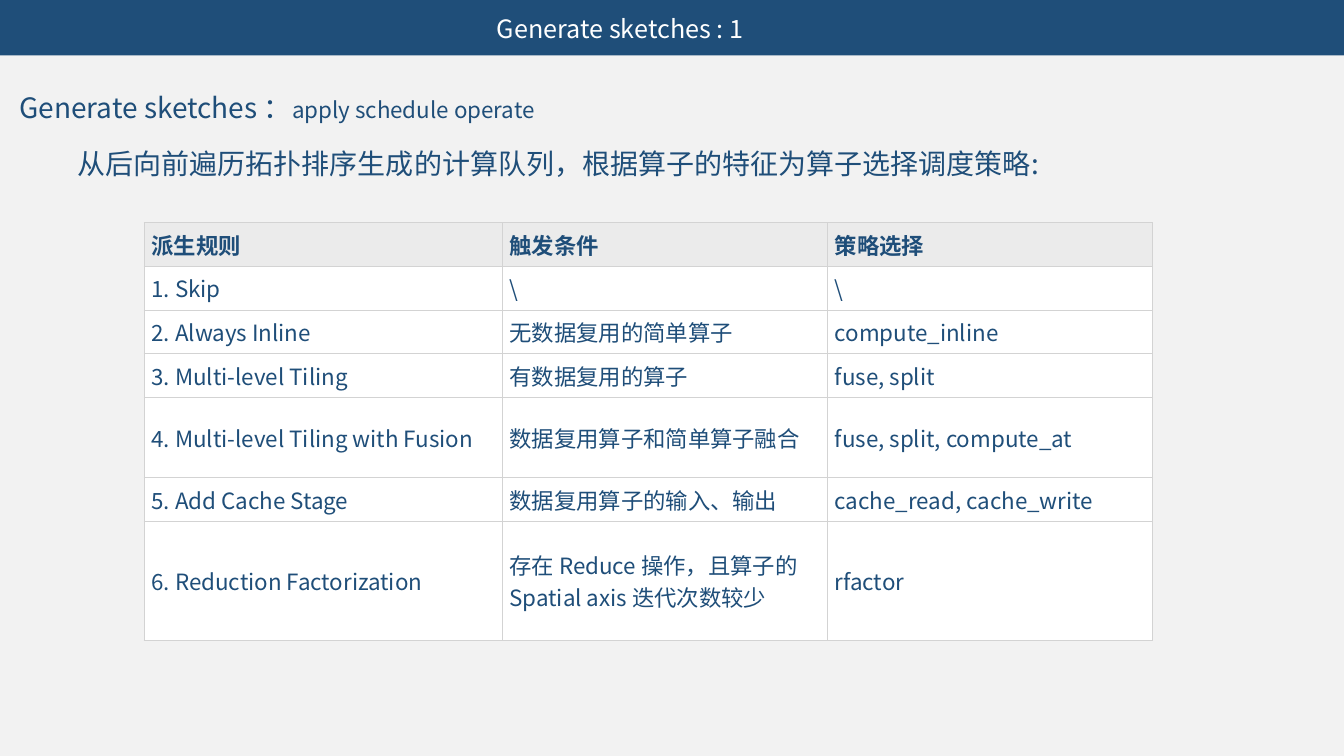
from pptx import Presentation
from pptx.dml.color import RGBColor
from pptx.enum.shapes import MSO_SHAPE
from pptx.enum.text import MSO_ANCHOR, MSO_AUTO_SIZE, PP_ALIGN
from pptx.oxml import parse_xml
from pptx.oxml.ns import nsdecls
from pptx.util import Cm, Pt

FONT = "Noto Sans CJK SC"
NAVY, WHITE, GRAY = "1F4E79", "FFFFFF", "D3D3D3"


def rgb(value):
    return RGBColor.from_string(value)


def add_run(p, text, size, color=NAVY, bold=False):
    r = p.add_run()
    r.text = text
    r.font.size, r.font.bold, r.font.name = Pt(size), bold, FONT
    r.font.color.rgb = rgb(color)
    r._r.get_or_add_rPr().append(
        parse_xml(f'<a:ea {nsdecls("a")} typeface="{FONT}"/>'))


prs = Presentation()
prs.slide_width, prs.slide_height = Cm(33.87), Cm(19.05)
s = prs.slides.add_slide(prs.slide_layouts[3])
s.background.fill.solid()
s.background.fill.fore_color.rgb = rgb("F2F2F2")

# Header bar, sent behind the title
bar = s.shapes.add_shape(MSO_SHAPE.RECTANGLE, 0, 0, prs.slide_width, Cm(1.4))
bar.shadow.inherit = False
bar.fill.solid()
bar.fill.fore_color.rgb = rgb(NAVY)
bar.line.fill.background()
s.shapes._spTree.insert(2, bar._element)

# Title and the two lead lines: placeholder, box in cm, runs
lines = [
    (0, (12.27, 0.2, 14.3, 1.02), [("Generate sketches : 1", 18, WHITE)]),
    (1, (0.23, 2.16, 18.92, 1.12), [("Generate sketches ：", 20, NAVY),
                                    ("apply schedule operate", 16, NAVY)]),
    (2, (1.7, 3.56, 26.57, 1.12),
     [("从后向前遍历拓扑排序生成的计算队列，根据算子的特征为算子选择调度策略:", 20, NAVY)]),
]
for idx, box, runs in lines:
    sp = s.placeholders[idx]
    sp.left, sp.top, sp.width, sp.height = [Cm(v) for v in box]
    tf = sp.text_frame
    tf.word_wrap = True
    tf.auto_size = MSO_AUTO_SIZE.SHAPE_TO_FIT_TEXT
    tf.vertical_anchor = MSO_ANCHOR.TOP
    p = tf.paragraphs[0]
    p.alignment = PP_ALIGN.LEFT
    p.space_before = Pt(0)
    pPr = p._p.get_or_add_pPr()
    pPr.set("marL", "0")
    pPr.set("indent", "0")
    pPr.append(parse_xml(f'<a:buNone {nsdecls("a")}/>'))
    for text, size, color in runs:
        add_run(p, text, size, color)

# Table of derivation rules
rows = [
    ("派生规则", "触发条件", "策略选择"),
    ("1. Skip", "\\", "\\"),
    ("2. Always Inline", "无数据复用的简单算子", "compute_inline"),
    ("3. Multi-level Tiling", "有数据复用的算子", "fuse, split"),
    ("4. Multi-level Tiling with Fusion", "数据复用算子和简单算子融合",
     "fuse, split, compute_at"),
    ("5. Add Cache Stage", "数据复用算子的输入、输出", "cache_read, cache_write"),
    ("6. Reduction Factorization",
     "存在 Reduce 操作，且算子的 Spatial axis 迭代次数较少", "rfactor"),
]
widths = [9.02, 8.2, 8.2]
heights = [1.1, 1.1, 1.1, 1.1, 2.03, 1.1, 3]
table = s.shapes.add_table(len(rows), len(widths), Cm(3.63), Cm(5.61),
                           Cm(sum(widths)), Cm(sum(heights))).table
for col, width in zip(table.columns, widths):
    col.width = Cm(width)
for row, height in zip(table.rows, heights):
    row.height = Cm(height)

for i, texts in enumerate(rows):
    for j, text in enumerate(texts):
        cell = table.cell(i, j)
        cell.margin_left = cell.margin_right = Cm(0.19)
        cell.margin_top = cell.margin_bottom = Cm(0.05)
        cell.vertical_anchor = MSO_ANCHOR.MIDDLE
        add_run(cell.text_frame.paragraphs[0], text, 16, bold=i == 0)
        # Borders come before the fill in the cell properties
        for side in ("lnL", "lnR", "lnT", "lnB"):
            cell._tc.get_or_add_tcPr().append(parse_xml(
                f'<a:{side} {nsdecls("a")} w="{Pt(0.55)}"><a:solidFill>'
                f'<a:srgbClr val="{GRAY}"/></a:solidFill></a:{side}>'))
        cell.fill.solid()
        cell.fill.fore_color.rgb = rgb("EBEBEB" if i == 0 else WHITE)

prs.save("out.pptx")
